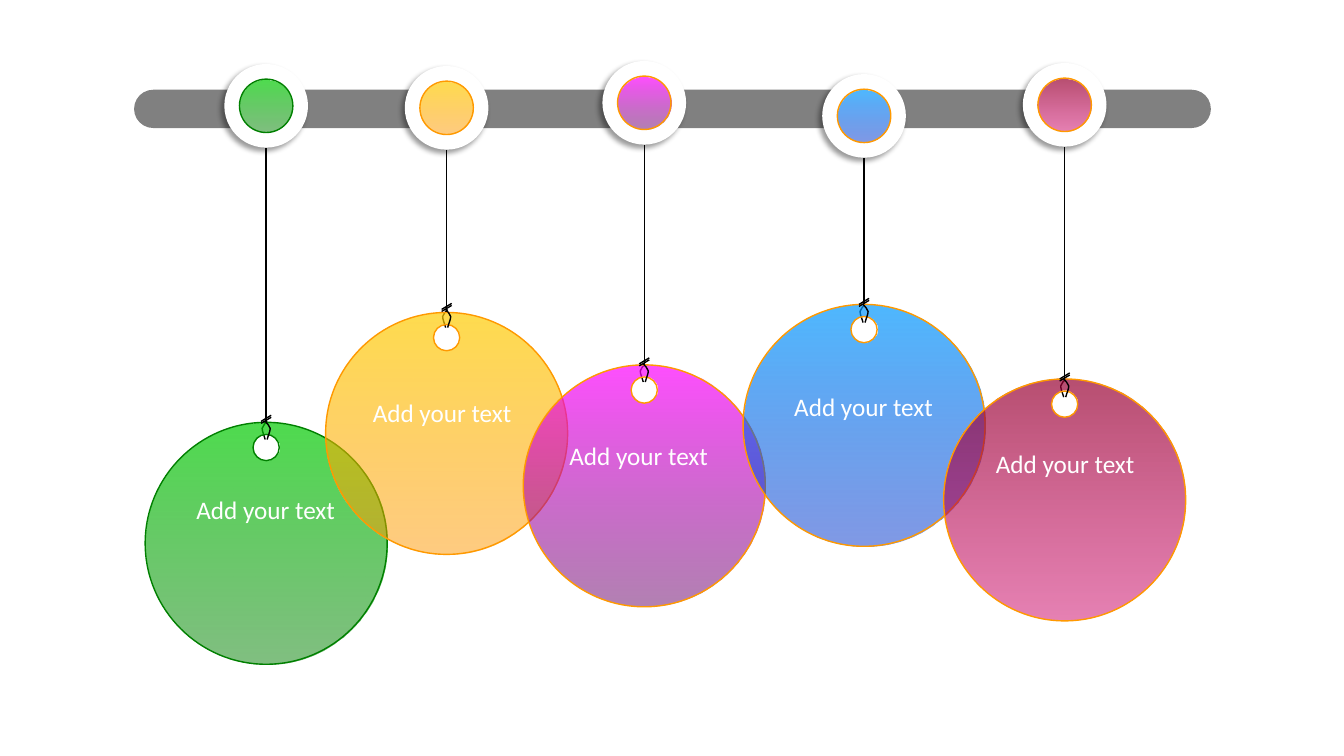
import math
import pptx
import pptx.util
import pptx.dml.color
import pptx.enum.shapes
import pptx.enum.text
import pptx.oxml
import pptx.oxml.ns

Inches = pptx.util.Inches
Shape = pptx.enum.shapes.MSO_SHAPE
qn = pptx.oxml.ns.qn
NS = 'xmlns:a="http://schemas.openxmlformats.org/drawingml/2006/main"'
SHADOW = (
    f'<a:effectLst {NS}><a:outerShdw blurRad="50800" dist="38100" dir="8100000">'
    '<a:srgbClr val="000000"><a:alpha val="40000"/></a:srgbClr>'
    '</a:outerShdw></a:effectLst>'
)


def color(code):
    return pptx.dml.color.RGBColor.from_string(code)


def ring(x, y, r, turn):
    def spot(step, pull):
        a = turn * step * math.pi / 2
        pull *= turn * 0.55
        return (x + r * (math.sin(a) + pull * math.cos(a)),
                y + r * (pull * math.sin(a) - math.cos(a)))

    points = [spot(0, 0)]
    for i in range(4):
        points += [spot(i, 1), spot(i + 1, -1), spot(i + 1, 0)]
    return points


class Board:
    font = "Calibri"
    size = 18
    ink = "000000"
    paper = "FFFFFF"
    width = 1

    def __init__(self, slide):
        self.slide = slide
        self.items = slide.shapes

    def group(self):
        self.items = self.slide.shapes.add_group_shape().shapes

    def edge(self, shape, code):
        shape.line.color.rgb = color(code)
        shape.line.width = pptx.util.Pt(self.width)

    def blend(self, shape, tones):
        shape.fill.gradient()
        shape.fill.gradient_angle = 270
        for stop, tone in zip(shape.fill.gradient_stops, tones):
            stop.color.rgb = color(tone)
        marks = shape._element.spPr.find(qn("a:gradFill")).iter(qn("a:srgbClr"))
        for mark, alpha in zip(list(marks), (70000, 50000)):
            mark.append(pptx.oxml.parse_xml(f'<a:alpha {NS} val="{alpha}"/>'))

    def solid(self, kind, x, y, w, h, code):
        shape = self.items.add_shape(kind, Inches(x), Inches(y), Inches(w), Inches(h))
        shape.shadow.inherit = False
        shape.fill.solid()
        shape.fill.fore_color.rgb = color(code)
        shape.line.fill.background()
        return shape

    def badge(self, x, y, tones, rim):
        disc = self.solid(Shape.OVAL, x - 0.415, y - 0.415, 0.83, 0.83, self.paper)
        props = disc._element.spPr
        props.replace(props.find(qn("a:effectLst")), pptx.oxml.parse_xml(SHADOW))
        dot = self.solid(Shape.OVAL, x - 0.265, y - 0.265, 0.53, 0.53, self.paper)
        self.blend(dot, tones)
        self.edge(dot, rim)

    def trace(self, rings, closed):
        rings = [[(Inches(x), Inches(y)) for x, y in points] for points in rings]
        pen = self.items.build_freeform(*rings[0][0], scale=1.0)
        for i, points in enumerate(rings):
            if i:
                pen.move_to(*points[0])
            pen.add_line_segments(points[1:], close=closed)
        shape = pen.convert_to_shape()
        shape.shadow.inherit = False
        self.bend(shape)
        return shape

    def bend(self, shape):
        steps = list(shape._element.spPr.iter(qn("a:lnTo")))
        for i in range(0, len(steps), 3):
            curve = pptx.oxml.parse_xml(f"<a:cubicBezTo {NS}/>")
            steps[i].addprevious(curve)
            for step in steps[i:i + 3]:
                curve.append(step[0])
                step.getparent().remove(step)

    def tag(self, x, top, tones, rim):
        shape = self.trace([ring(x, top + 0.25, 0.13, -1), ring(x, top + 1.2, 1.2, 1)], True)
        self.blend(shape, tones)
        self.edge(shape, rim)

    def loop(self, x, y, side):
        bends = [(-0.01, 0), (0.01, 0.02), (0.03, 0.04), (0.04, 0.07),
                 (0.04, 0.1), (0.02, 0.14), (0.01, 0.18)]
        shape = self.trace([[(x + side * dx, y + dy) for dx, dy in bends]], False)
        shape.fill.background()
        self.edge(shape, self.ink)

    def line(self, x1, y1, x2, y2):
        kind = pptx.enum.shapes.MSO_CONNECTOR.STRAIGHT
        cord = self.items.add_connector(kind, Inches(x1), Inches(y1), Inches(x2), Inches(y2))
        self.edge(cord, self.ink)
        cord._element.spPr.append(pptx.oxml.parse_xml(f"<a:effectLst {NS}/>"))

    def text(self, x, y, w, h, words):
        box = self.items.add_textbox(Inches(x), Inches(y), Inches(w), Inches(h))
        frame = box.text_frame
        frame.word_wrap = True
        frame.auto_size = pptx.enum.text.MSO_AUTO_SIZE.SHAPE_TO_FIT_TEXT
        para = frame.paragraphs[0]
        para.alignment = pptx.enum.text.PP_ALIGN.CENTER
        run = para.add_run()
        run.text = words
        run.font.name = self.font
        run.font.size = pptx.util.Pt(self.size)
        run.font.color.rgb = color(self.paper)


TAGS = [
    (2.64, 1.05, 4.19, 4.18, 1.63, 4.86, ("00CC00", "008000"), "008000"),
    (4.43, 1.07, 3.1, 3.07, 3.38, 3.89, ("FFCC00", "FF9900"), "FF9900"),
    (6.39, 1.02, 3.62, 3.61, 5.33, 4.32, ("FF00FF", "660066"), "FF9900"),
    (8.57, 1.15, 3.02, 3.02, 7.56, 3.83, ("0099FF", "0033CC"), "FF9900"),
    (10.56, 1.04, 3.76, 3.76, 9.56, 4.4, ("990033", "CC0066"), "FF9900"),
]


def main():
    deck = pptx.Presentation()
    deck.slide_width = Inches(13.33)
    deck.slide_height = Inches(7.5)
    board = Board(deck.slides.add_slide(deck.slide_layouts[6]))
    rail = board.solid(Shape.ROUNDED_RECTANGLE, 1.33, 0.89, 10.68, 0.38, "808080")
    rail.adjustments[0] = 0.5
    for x, pin, top, knot, left, row, tones, rim in TAGS:
        board.group()
        board.loop(x, knot, -1)
        board.tag(x, top, tones, rim)
        board.badge(x, pin, tones, rim)
        board.line(x, pin + 0.42, x, top)
        board.loop(x, knot, 1)
        for drop in (0.02, 0):
            board.line(x - 0.05, knot + drop, x + 0.05, knot + drop - 0.06)
        board.text(left, row, 2.01, 0.4, "Add your text")
    deck.save("out.pptx")


if __name__ == "__main__":
    main()
